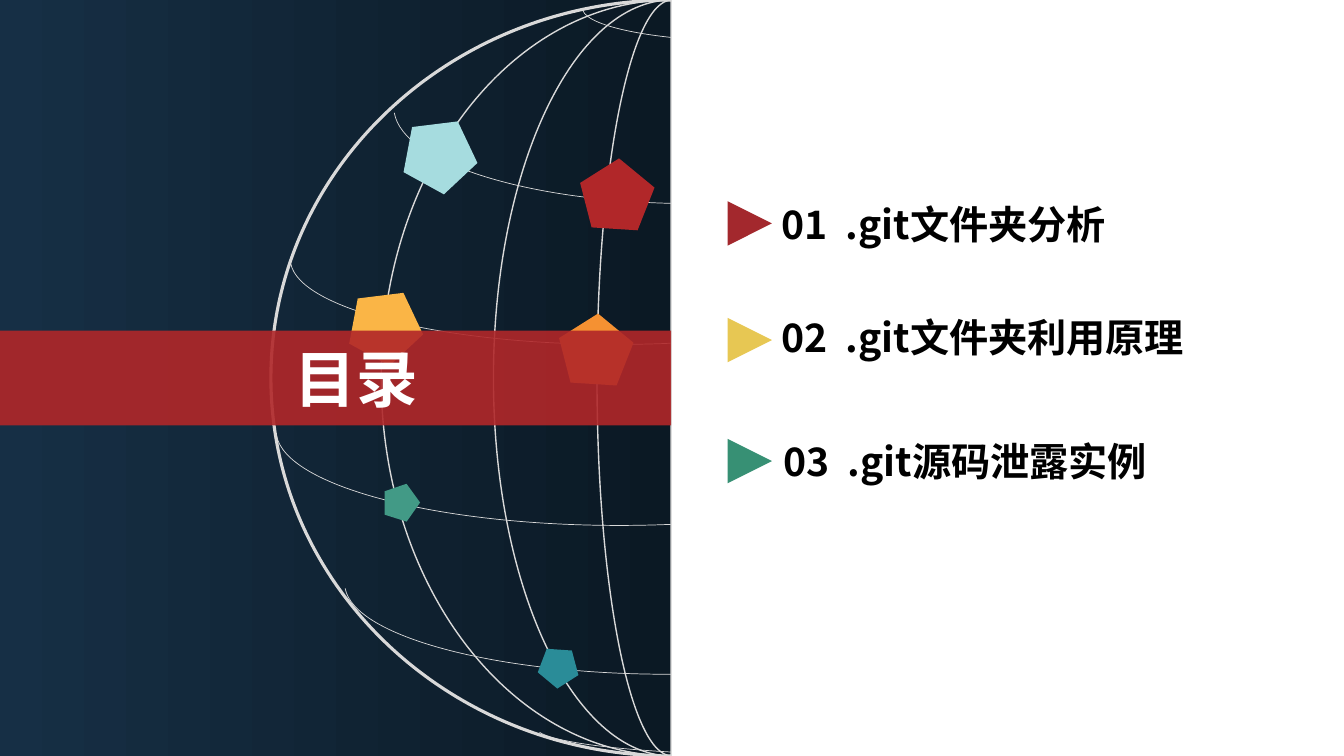
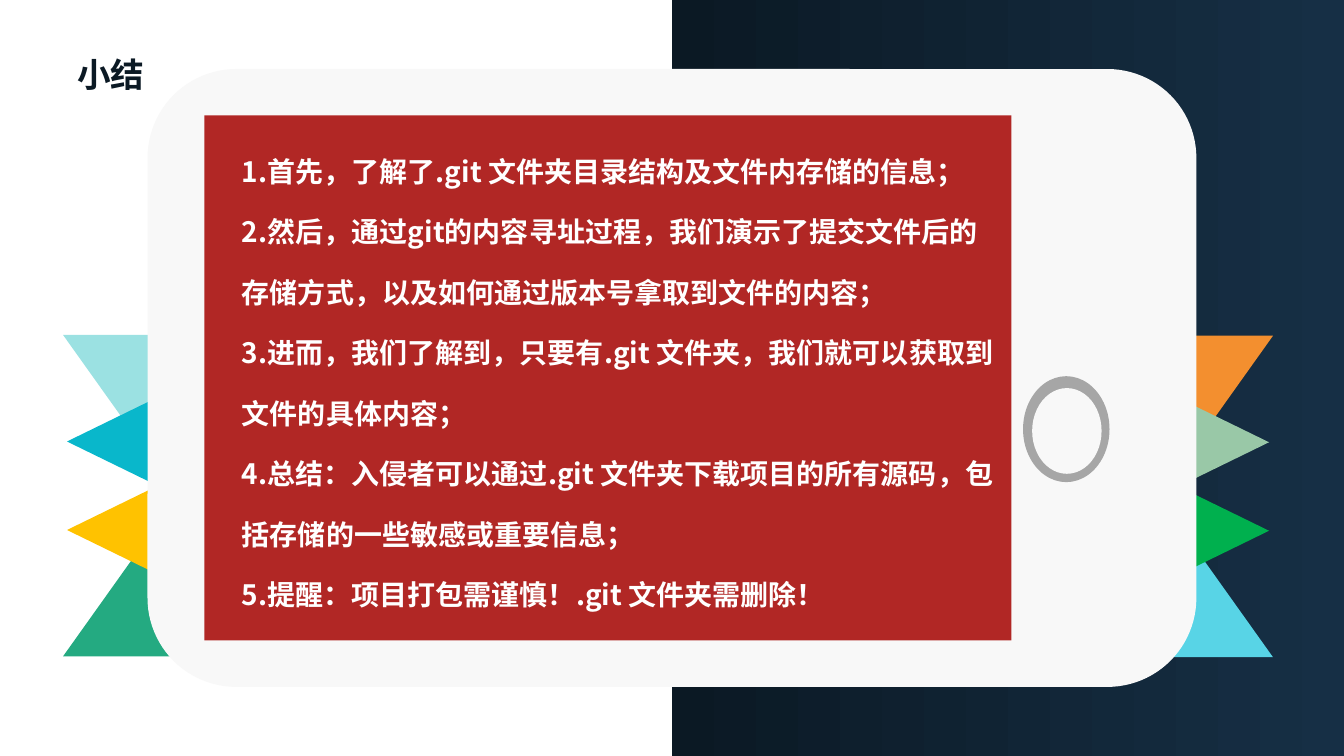
from math import cos, radians, sin, tan

from lxml.etree import SubElement
from pptx import Presentation
from pptx.dml.color import RGBColor
from pptx.enum.shapes import MSO_SHAPE as Preset
from pptx.enum.text import PP_ALIGN as Align
from pptx.oxml.ns import qn
from pptx.util import Cm, Pt

FONT = "Noto Sans CJK SC"
WHITE = RGBColor(0xFF, 0xFF, 0xFF)
BLACK = RGBColor(0, 0, 0)
NAVY = RGBColor(0x16, 0x2F, 0x45)
INK = RGBColor(0x0B, 0x19, 0x24)
GRID = RGBColor(0xD9, 0xD9, 0xD9)
RED = RGBColor(0xB1, 0x27, 0x29)
SCREEN_RED = RGBColor(0xB1, 0x27, 0x25)
BRICK = RGBColor(0xA3, 0x28, 0x2D)
SAND = RGBColor(0xE7, 0xC7, 0x53)
GREEN = RGBColor(0x37, 0x90, 0x74)
ICE = RGBColor(0xA6, 0xDC, 0xDF)
AMBER = RGBColor(0xFA, 0xB5, 0x46)
JADE = RGBColor(0x42, 0x9A, 0x86)
TEAL = RGBColor(0x2A, 0x8C, 0x98)
ORANGE = RGBColor(0xF5, 0x91, 0x32)
TANGERINE = RGBColor(0xF3, 0x8F, 0x2F)
SKY = RGBColor(0x58, 0xD4, 0xE6)
SAGE = RGBColor(0x99, 0xC8, 0xA7)
LEAF = RGBColor(0x00, 0xB0, 0x4E)
EMERALD = RGBColor(0x24, 0xAA, 0x81)
MINT = RGBColor(0x9B, 0xE1, 0xE2)
CYAN = RGBColor(0x09, 0xB7, 0xCB)
YELLOW = RGBColor(0xFF, 0xC2, 0x00)
PHONE = RGBColor(0xF8, 0xF8, 0xF8)
GRAY = RGBColor(0xA6, 0xA6, 0xA6)

WIDTH, HEIGHT = 33.88, 19.05
HALF = WIDTH / 2

LATITUDES = [
    (13.51, 17.65, 12.12, 1.37, 10),
    (8.69, 12.42, 16.31, 4.57, 3),
    (6.96, 8.46, 17.3, 4.78, 3),
    (7.32, 4.39, 16.43, 4.29, 3),
    (9.93, 0.3, 15.06, 4.83, 3),
    (14.68, -0.64, 8.41, 1.68, 4),
]
MERIDIANS = [(10.11, 2.25), (7.33, 1), (4.5, 1), (1.89, 1)]
PENTAGONS = [
    (10.17, 2.95, 1.88, 1.78, 28.8, ICE),
    (8.8, 7.27, 1.88, 1.78, 28.8, AMBER),
    (9.64, 12.17, 0.94, 0.91, 17.5, JADE),
    (13.54, 16.27, 1.02, 0.99, 327.4, TEAL),
    (14.61, 3.99, 1.88, 1.78, 3.6, RED),
    (14.08, 7.9, 1.88, 1.78, 3.6, ORANGE),
]
TOPICS = [
    (5.07, 19.46, 4.8, 12.29, 1.57, 1.1, BRICK, "01\t.git文件夹分析"),
    (8.01, 19.46, 7.76, 12.93, 1.45, None, SAND, "02\t.git文件夹利用原理"),
    (11.06, 19.51, 10.9, 11.81, 1.45, None, GREEN, "03\t.git源码泄露实例"),
]
SUMMARY = [
    "1.首先，了解了.git 文件夹目录结构及文件内存储的信息；",
    "2.然后，通过git的内容寻址过程，我们演示了提交文件后的存储方式，以及如何通过版本号拿取到文件的内容；",
    "3.进而，我们了解到，只要有.git 文件夹，我们就可以获取到文件的具体内容；",
    "4.总结：入侵者可以通过.git 文件夹下载项目的所有源码，包括存储的一些敏感或重要信息；",
    "5.提醒：项目打包需谨慎！.git 文件夹需删除！",
]


def add_block(slide, preset, left, top, width, height, color, rotation=0, adjust=None):
    shape = slide.shapes.add_shape(preset, Cm(left), Cm(top), Cm(width), Cm(height))
    shape.shadow.inherit = False
    shape.fill.solid()
    shape.fill.fore_color.rgb = color
    shape.line.fill.background()
    shape.rotation = rotation
    if adjust is not None:
        shape.adjustments[0] = adjust
    return shape


def add_text(slide, left, top, width, height, lines, size, color,
             align=Align.LEFT, spacing=None, tab=None):
    box = slide.shapes.add_textbox(Cm(left), Cm(top), Cm(width), Cm(height))
    frame = box.text_frame
    frame.word_wrap = True
    frame.text = "\n".join(lines)
    for paragraph in frame.paragraphs:
        paragraph.alignment = align
        paragraph.line_spacing = spacing
        if tab:
            tabs = SubElement(paragraph._p.get_or_add_pPr(), qn("a:tabLst"))
            SubElement(tabs, qn("a:tab"), pos=str(Cm(tab)), algn="l")
        for run in paragraph.runs:
            font = run.font
            font.size, font.bold, font.name = Pt(size), True, FONT
            font.color.rgb = color
            SubElement(run._r.get_or_add_rPr(), qn("a:ea"), typeface=FONT)


def add_night_panel(slide, left, angle):
    panel = add_block(slide, Preset.RECTANGLE, left, 0, HALF, HEIGHT, NAVY)
    panel.fill.gradient()
    panel.fill.gradient_angle = angle
    for stop, color in zip(panel.fill.gradient_stops, (NAVY, INK)):
        stop.color.rgb = color


def bend_segments(shape):
    segments = list(shape._element.iter(qn("a:lnTo")))
    for first in range(0, len(segments), 3):
        group = segments[first:first + 3]
        curve = group[0].makeelement(qn("a:cubicBezTo"))
        group[0].addprevious(curve)
        for segment in group:
            curve.append(segment[0])
            segment.getparent().remove(segment)


def add_arc(slide, center_x, center_y, radius_x, radius_y, start, stop, weight, close=False):
    def place(x, y):
        return Cm(center_x + radius_x * x), Cm(center_y + radius_y * y)

    middle = (start + stop) / 2
    pull = 4 / 3 * tan(radians(middle - start) / 4)
    points = []
    for begin, end in ((radians(start), radians(middle)), (radians(middle), radians(stop))):
        points += [
            place(cos(begin) - pull * sin(begin), sin(begin) + pull * cos(begin)),
            place(cos(end) + pull * sin(end), sin(end) - pull * cos(end)),
            place(cos(end), sin(end)),
        ]
    origin = place(cos(radians(start)), sin(radians(start)))
    builder = slide.shapes.build_freeform(*origin)
    builder.add_line_segments(points, close=close)
    shape = builder.convert_to_shape()
    bend_segments(shape)
    shape.shadow.inherit = False
    shape.fill.background()
    shape.line.color.rgb = GRID
    shape.line.width = Pt(weight)


def add_globe(slide, axis, top, height):
    radius = height / 2
    for reach, weight in MERIDIANS:
        add_arc(slide, axis, top + radius, reach, radius, 90, 270, weight, True)
    for left, offset, width, depth, start in LATITUDES:
        add_arc(slide, left + width / 2, top + offset + depth / 2,
                width / 2, depth / 2, start, 180 - start, 0.5)
    for left, offset, width, depth, rotation, color in PENTAGONS:
        add_block(slide, Preset.REGULAR_PENTAGON, left, top + offset,
                  width, depth, color, rotation)


def add_title_band(slide, top, height):
    band = add_block(slide, Preset.RECTANGLE, 0, top, 16.92, height, RED)
    color = band.fill._xPr.find(qn("a:solidFill"))[0]
    SubElement(color, qn("a:alpha"), val="90000")


def add_topics(slide, marker_left):
    for marker_top, left, top, width, height, spacing, color, label in TOPICS:
        add_block(slide, Preset.ISOSCELES_TRIANGLE, marker_left, marker_top,
                  1.12, 1.12, color, 90)
        add_text(slide, left, top, width, height, [label], 28, BLACK,
                 spacing=spacing, tab=1.61)


def add_fan(slide, left, top, colors, faces_right):
    lower, upper, first_spike, second_spike = colors
    width, height = 6.48, 3.6
    spike_width, spike_height = 5.36, 5.49
    peak = 0.604 if faces_right else 0.396
    triangle = Preset.ISOSCELES_TRIANGLE
    add_block(slide, triangle, left, top + 4.56, width, height, lower, 0, peak)
    add_block(slide, triangle, left, top + 0.06, width, height, upper, 180, 1 - peak)
    reach = 0.1 + spike_height / 2
    center = left + (width - reach if faces_right else reach)
    for row, color in enumerate((first_spike, second_spike)):
        add_block(slide, triangle, center - spike_width / 2, top + 2.23 * row,
                  spike_width, spike_height, color, 90 if faces_right else 270)


def add_phone(slide, left, top):
    add_block(slide, Preset.ROUNDED_RECTANGLE, left, top, 26.44, 15.57, PHONE, adjust=0.144)
    add_block(slide, Preset.OVAL, left + 22.07, top + 7.74, 2.18, 2.67, GRAY)
    add_block(slide, Preset.OVAL, left + 22.3, top + 8.04, 1.75, 2.16, PHONE)
    add_block(slide, Preset.RECTANGLE, left + 1.43, top + 1.17, 20.35, 13.23, SCREEN_RED)
    add_text(slide, left + 2.13, top + 1.35, 19.63, 12.45, SUMMARY, 20, WHITE, spacing=1.8)


def build_contents(slide):
    add_night_panel(slide, 0, 0)
    add_globe(slide, HALF, 0, HEIGHT)
    add_title_band(slide, 8.33, 2.39)
    add_block(slide, Preset.RECTANGLE, HALF, 0, HALF, HEIGHT, WHITE)
    add_text(slide, 3.96, 8.47, 10.06, 2.13, ["目录"], 44, WHITE, Align.CENTER)
    add_topics(slide, 18.34)


def build_summary(slide):
    add_night_panel(slide, HALF, 180)
    add_fan(slide, 25.61, 8.4, (SKY, TANGERINE, SAGE, LEAF), True)
    add_fan(slide, 1.59, 8.38, (EMERALD, MINT, CYAN, YELLOW), False)
    add_phone(slide, 3.72, 1.74)
    add_text(slide, 1.7, 1.24, 2.59, 1.27, ["小结"], 24, INK)


def main():
    presentation = Presentation()
    presentation.slide_width, presentation.slide_height = Cm(WIDTH), Cm(HEIGHT)
    for build in (build_contents, build_summary):
        build(presentation.slides.add_slide(presentation.slide_layouts[6]))
    presentation.save("out.pptx")


if __name__ == "__main__":
    main()
